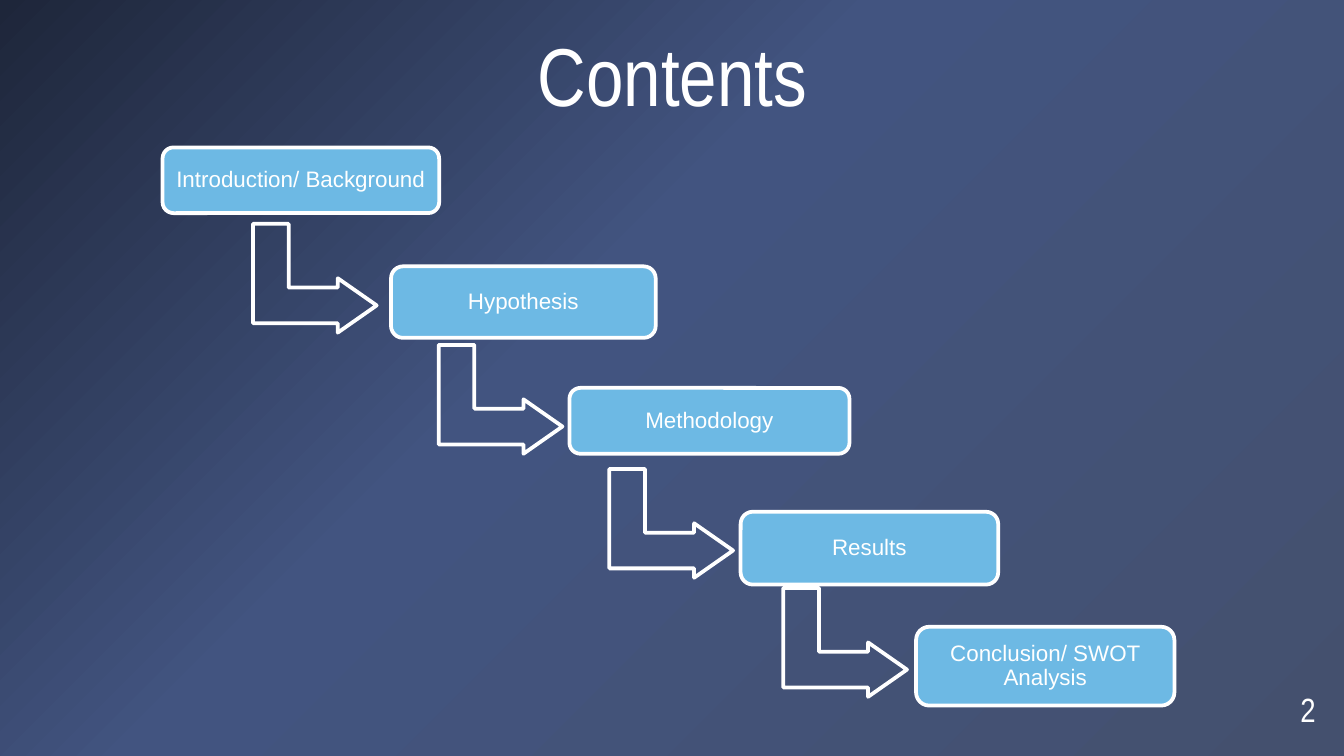
from pptx import Presentation
from pptx.dml.color import RGBColor
from pptx.enum import shapes, text
from pptx.oxml import ns, parse_xml
from pptx.util import Pt

WHITE = RGBColor(0xFF, 0xFF, 0xFF)
SKY = RGBColor(0x6D, 0xB9, 0xE4)
STOPS = [(0, "44506E"), (58, "425480"), (100, "1E263A")]

BODY = {"size": Pt(12), "name": "Arial"}
HEAD = {"size": Pt(44), "name": "Arial Narrow"}
PAGE = {"size": Pt(18), "name": "Arial Narrow"}


class Deck:
    def __init__(self, wide, high):
        self.prs = Presentation()
        self.prs.slide_width, self.prs.slide_height = Pt(wide), Pt(high)
        self.slide = self.prs.slides.add_slide(self.prs.slide_layouts[6])

    def back(self, stops):
        """Fill the background with a gradient from the lower right corner."""
        self.slide.background.fill.gradient()
        old = self.slide.element.find(".//" + ns.qn("a:gradFill"))
        marks = "".join(
            f'<a:gs pos="{pos * 1000}"><a:srgbClr val="{hue}"/></a:gs>'
            for pos, hue in stops)
        new = parse_xml(
            f'<a:gradFill {ns.nsdecls("a")} rotWithShape="1">'
            f'<a:gsLst>{marks}</a:gsLst><a:path path="circle">'
            '<a:fillToRect l="100000" t="100000"/></a:path>'
            '<a:tileRect r="-100000" b="-100000"/></a:gradFill>')
        old.getparent().replace(old, new)

    def put(self, shape, words, font, align, anchor, space, inset=0, after=0):
        frame = shape.text_frame
        form = {"word_wrap": True, "vertical_anchor": anchor}
        for side in ("left", "top", "right", "bottom"):
            form[f"margin_{side}"] = Pt(inset)
        for key, val in form.items():
            setattr(frame, key, val)
        para = frame.paragraphs[0]
        form = {"alignment": align, "line_spacing": space,
                "space_after": Pt(after)}
        for key, val in form.items():
            setattr(para, key, val)
        run = para.add_run()
        run.text = words
        for key, val in font.items():
            setattr(run.font, key, val)
        run.font.color.rgb = WHITE
        return run

    def label(self, box, words, font, align, space, after=0):
        shape = self.slide.shapes.add_textbox(*map(Pt, box))
        return self.put(shape, words, font, align,
                        text.MSO_ANCHOR.BOTTOM, space, after=after)

    def shade(self, run):
        """Give the run a soft shadow."""
        glow = parse_xml(
            f'<a:effectLst {ns.nsdecls("a")}><a:outerShdw blurRad="38100" '
            'dist="38100" dir="2700000" algn="tl"><a:srgbClr val="000000">'
            '<a:alpha val="43000"/></a:srgbClr></a:outerShdw></a:effectLst>')
        run._r.rPr.find(ns.qn("a:solidFill")).addnext(glow)

    def outline(self, kind, box, adjust):
        shape = self.slide.shapes.add_shape(kind, *map(Pt, box))
        shape.shadow.inherit = False
        shape.line.color.rgb = WHITE
        shape.line.width = Pt(2)
        for num, val in enumerate(adjust):
            shape.adjustments[num] = val
        return shape

    def step(self, box, words):
        shape = self.outline(shapes.MSO_SHAPE.ROUNDED_RECTANGLE, box, [0.167])
        shape.fill.solid()
        shape.fill.fore_color.rgb = SKY
        self.put(shape, words, BODY, text.PP_ALIGN.CENTER,
                 text.MSO_ANCHOR.MIDDLE, 0.9, inset=4)

    def arrow(self, left, top):
        shape = self.outline(shapes.MSO_SHAPE.BENT_UP_ARROW,
                             (left, top, 58.3, 66.3), [0.328, 0.25, 0.358])
        shape.fill.background()
        shape.rotation = 90


# Each step: box, words, and the place of the arrow to the next one
STEPS = [
    ((87.1, 79, 148.2, 35.2), "Introduction/ Background", (139.5, 115.9)),
    ((209.5, 142.7, 141.8, 38.3), "Hypothesis", (239, 180.8)),
    ((305.1, 207.8, 150, 35.3), "Methodology", (330.4, 247.2)),
    ((396.8, 274.2, 138, 39), "Results", (423.6, 311)),
    ((490.8, 335.8, 138.4, 42.2), "Conclusion/ SWOT Analysis", None),
]


def main():
    deck = Deck(720, 405)
    deck.back(STOPS)

    # Page number and title
    deck.label((661.7, 365.8, 43.2, 25.2), "2", PAGE,
               text.PP_ALIGN.RIGHT, 0.9)
    title = deck.label((274.3, 14.4, 172, 51.1), "Contents", HEAD,
                       text.PP_ALIGN.CENTER, 0.8, after=6)
    deck.shade(title)

    # Staircase of steps
    for box, words, turn in STEPS:
        if turn:
            deck.arrow(*turn)
        deck.step(box, words)

    deck.prs.save("out.pptx")


if __name__ == "__main__":
    main()
